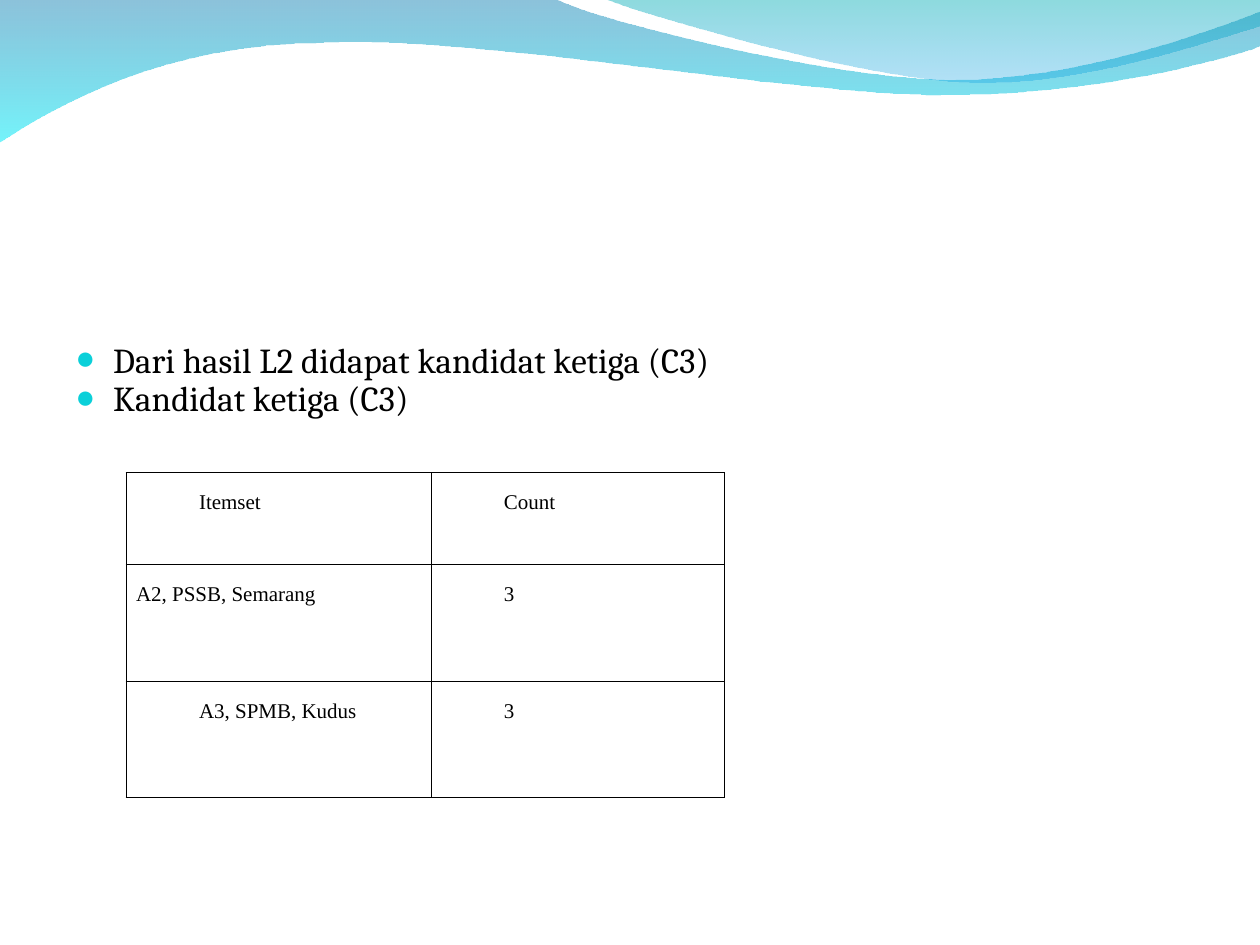
from lxml.etree import SubElement
from pptx import Presentation
from pptx.dml.color import RGBColor
from pptx.enum.text import PP_ALIGN
from pptx.oxml.ns import qn
from pptx.util import Inches, Pt

THEME = {
    "ink": "000000", "bullet": "0BD0D9", "body": "Cambria", "body_size": 20,
    "cell": "Times New Roman", "cell_size": 12, "border": 0.45,
}

BULLETS = ["Dari hasil L2 didapat kandidat ketiga (C3)", "Kandidat ketiga (C3)"]
ROWS = [("Itemset", "Count"), ("A2, PSSB, Semarang", "3"), ("A3, SPMB, Kudus", "3")]
FLUSH = {(1, 0)}
WIDTHS = [2.42, 2.33]
HEIGHTS = [0.73, 0.93, 0.92]

WAVES = [
    {
        "path": [
            [(0, -0.01)],
            [(4.4, -0.01)],
            [(4.76, 0.17), (6.64, 0.63), (7.58, 0.63)],
            [(8.53, 0.63), (9.58, 0.26), (10, 0.09)],
            [(10.01, 0.36)],
            [(9.83, 0.44), (8.7, 0.76), (7.46, 0.75)],
            [(6.22, 0.75), (3.82, 0.28), (2.57, 0.34)],
            [(1.29, 0.35), (0.46, 0.83), (-0.01, 1.13)],
        ],
        "stops": [("0079AF", 45), ("00EBF8", 55)],
    },
    {
        "path": [
            [(4.79, -0.01)],
            [(5.09, 0.11), (6.82, 0.62), (7.69, 0.65)],
            [(8.56, 0.69), (9.61, 0.32), (10, 0.21)],
            [(10, 0)],
        ],
        "stops": [("00ADB6", 45), ("009BE5", 30)],
    },
]


def rgb(code):
    return RGBColor.from_string(code)


def bend(shape, parts):
    lines = iter(list(shape.element.iter(qn("a:lnTo"))))
    for part in parts:
        group = [next(lines) for dot in part]
        if len(part) == 3:
            first = group[0]
            first.tag = qn("a:cubicBezTo")
            for line in group[1:]:
                first.append(line[0])
                line.getparent().remove(line)


def add_wave(slide, wave):
    parts = wave["path"]
    dots = [(Inches(x), Inches(y)) for part in parts for x, y in part]
    pen = slide.shapes.build_freeform(*dots[0], scale=1.0)
    pen.add_line_segments(dots[1:], close=True)
    shape = pen.convert_to_shape()
    bend(shape, parts[1:])
    shape.shadow.inherit = False
    shape.line.fill.background()
    shape.fill.gradient()
    shape.fill.gradient_angle = 270
    for stop, (code, alpha) in zip(shape.fill.gradient_stops, wave["stops"]):
        stop.color.rgb = rgb(code)
    colors = shape.element.iter(qn("a:srgbClr"))
    for color, (code, alpha) in zip(colors, wave["stops"]):
        SubElement(color, qn("a:alpha"), val=str(alpha * 1000))


def style(para, face, size):
    para.font.name = face
    para.font.size = Pt(size)
    para.font.color.rgb = rgb(THEME["ink"])


def add_bullets(slide):
    box = slide.shapes.add_textbox(Inches(0.5), Inches(2.33), Inches(9), Inches(1.08))
    frame = box.text_frame
    frame.word_wrap = True
    frame.margin_top = Inches(0.45)
    frame.text = "\n".join(BULLETS)
    for para in frame.paragraphs:
        style(para, THEME["body"], THEME["body_size"])
        para.line_spacing = 0.7
        para.space_before = Pt(5)
        props = para._p.get_or_add_pPr()
        props.set("marL", str(Inches(0.3)))
        props.set("indent", str(-Inches(0.3)))
        color = SubElement(props, qn("a:buClr"))
        SubElement(color, qn("a:srgbClr"), val=THEME["bullet"])
        SubElement(props, qn("a:buSzPct"), val="95000")
        SubElement(props, qn("a:buFont"), typeface=THEME["cell"])
        SubElement(props, qn("a:buChar"), char="●")
        props.append(props.find(qn("a:defRPr")))


def add_border(cell):
    props = cell._tc.get_or_add_tcPr()
    for i, side in enumerate(("lnL", "lnR", "lnT", "lnB")):
        line = SubElement(props, qn("a:" + side), w=str(Pt(THEME["border"])))
        fill = SubElement(line, qn("a:solidFill"))
        SubElement(fill, qn("a:srgbClr"), val=THEME["ink"])
        props.insert(i, line)


def add_items(slide):
    frame = slide.shapes.add_table(
        len(ROWS), len(WIDTHS), Inches(1), Inches(3.75),
        Inches(sum(WIDTHS)), Inches(sum(HEIGHTS)),
    )
    table = frame.table
    for col, width in zip(table.columns, WIDTHS):
        col.width = Inches(width)
    for row, height in zip(table.rows, HEIGHTS):
        row.height = Inches(height)
    for r, row in enumerate(ROWS):
        for c, text in enumerate(row):
            cell = table.cell(r, c)
            cell.text = text
            cell.fill.background()
            cell.margin_left = cell.margin_right = Inches(0.08)
            cell.margin_top = cell.margin_bottom = Inches(0.05)
            para = cell.text_frame.paragraphs[0]
            style(para, THEME["cell"], THEME["cell_size"])
            para.font.bold = False
            para.alignment = PP_ALIGN.JUSTIFY
            para.line_spacing = 1.5
            indent = 0 if (r, c) in FLUSH else 0.5
            para._p.get_or_add_pPr().set("marL", str(Inches(indent)))
            add_border(cell)


def main():
    deck = Presentation()
    deck.slide_width, deck.slide_height = Inches(10), Inches(7.5)
    slide = deck.slides.add_slide(deck.slide_layouts[6])
    for wave in WAVES:
        add_wave(slide, wave)
    add_bullets(slide)
    add_items(slide)
    deck.save("out.pptx")


if __name__ == "__main__":
    main()
